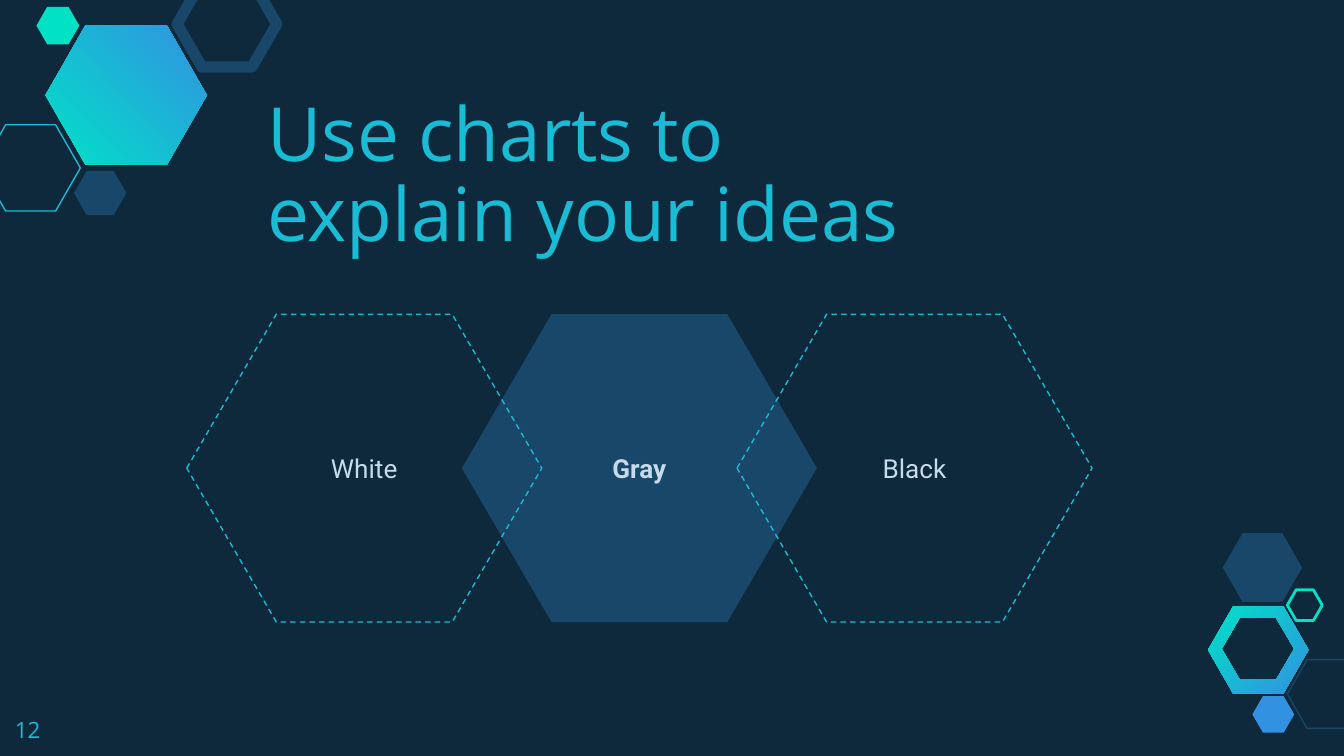
from dataclasses import dataclass
from typing import Optional

import pptx
import pptx.dml.color
import pptx.enum.dml
import pptx.enum.shapes
import pptx.enum.text
import pptx.util
from pptx.util import Cm

NIGHT, NAVY, CYAN = "0E293C", "184769", "19BBD5"
MINT, BLUE, PALE = "00E1C6", "3292E1", "C6DAEC"


@dataclass
class Hexagon:
    """A hexagon placed in centimetres, with its paint and label."""
    left: float
    top: float
    width: float
    height: float
    fill: Optional[str] = None
    line: Optional[str] = None
    weight: float = 0.75
    dashed: bool = False
    label: str = ""
    bold: bool = False
    corner: float = 0.287


def rgb(color: str) -> pptx.dml.color.RGBColor:
    """Turn a hex string into a colour."""
    return pptx.dml.color.RGBColor.from_string(color)


def style_text(frame, size: float, font: str, color: str, bold: bool = False) -> None:
    """Set insets and wrapping, and format every run."""
    frame.word_wrap = True
    frame.auto_size = pptx.enum.text.MSO_AUTO_SIZE.NONE
    frame.margin_left = frame.margin_right = Cm(0.25)
    frame.margin_top = frame.margin_bottom = Cm(0.25)
    for paragraph in frame.paragraphs:
        for run in paragraph.runs:
            run.font.size = pptx.util.Pt(size)
            run.font.name = font
            run.font.bold = bold
            run.font.color.rgb = rgb(color)


def paint_gradient(shape, angle: float) -> None:
    """Fill a shape from mint to blue along a counter-clockwise angle."""
    shape.shadow.inherit = False
    shape.line.fill.background()
    shape.fill.gradient()
    shape.fill.gradient_angle = angle
    for stop, color in zip(shape.fill.gradient_stops, (MINT, BLUE)):
        stop.color.rgb = rgb(color)


def draw_hexagon(slide, item: Hexagon):
    """Draw one hexagon and its centred label."""
    shape = slide.shapes.add_shape(
        pptx.enum.shapes.MSO_SHAPE.HEXAGON,
        Cm(item.left), Cm(item.top), Cm(item.width), Cm(item.height))
    shape.adjustments[0] = item.corner
    shape.shadow.inherit = False
    if item.fill:
        shape.fill.solid()
        shape.fill.fore_color.rgb = rgb(item.fill)
    else:
        shape.fill.background()
    if item.line:
        shape.line.color.rgb = rgb(item.line)
        shape.line.width = pptx.util.Pt(item.weight)
        if item.dashed:
            shape.line.dash_style = pptx.enum.dml.MSO_LINE.DASH
    else:
        shape.line.fill.background()
    if item.label:
        frame = shape.text_frame
        frame.text = item.label
        frame.vertical_anchor = pptx.enum.text.MSO_ANCHOR.MIDDLE
        frame.paragraphs[0].alignment = pptx.enum.text.PP_ALIGN.CENTER
        style_text(frame, 14, "Roboto", PALE, item.bold)
    return shape


def hexagon_points(left: float, top: float, width: float, height: float) -> list:
    """Return the six corners of a hexagon, from its left tip clockwise."""
    steps = ((0, 0.5), (0.25, 0), (0.75, 0), (1, 0.5), (0.75, 1), (0.25, 1))
    return [(Cm(left + x * width), Cm(top + y * height)) for x, y in steps]


def draw_ring(slide) -> None:
    """Draw the gradient ring as two nested hexagon outlines."""
    outer = hexagon_points(22.83, 11.46, 1.9, 1.65)
    inner = hexagon_points(23.09, 11.68, 1.37, 1.17)[::-1]
    builder = slide.shapes.build_freeform(*outer[0])
    builder.add_line_segments(outer[1:], close=True)
    builder.move_to(*inner[0])
    builder.add_line_segments(inner[1:], close=True)
    paint_gradient(builder.convert_to_shape(), 315)


DECORATIONS = [
    Hexagon(-0.36, 2.36, 1.88, 1.63, line=CYAN),
    Hexagon(1.4, 3.23, 0.99, 0.84, fill=NAVY),
    Hexagon(3.35, -0.36, 1.88, 1.63, line=NAVY, weight=6),
    Hexagon(0.69, 0.13, 0.81, 0.71, fill=MINT),
    Hexagon(24.33, 12.47, 1.5, 1.3, line=NAVY),
    Hexagon(23.67, 13.16, 0.79, 0.69, fill=BLUE),
    Hexagon(23.11, 10.08, 1.5, 1.3, fill=NAVY),
    Hexagon(24.33, 11.15, 0.66, 0.58, line=MINT, weight=1.5),
]

FIRST_LEFT, PITCH = 3.53, 5.2
# The filled middle hexagon lies behind the dashed ones.
IDEAS = [(1, "Gray"), (0, "White"), (2, "Black")]


def main() -> None:
    """Build and save the slide."""
    deck = pptx.Presentation()
    deck.slide_width, deck.slide_height = Cm(25.4), Cm(14.29)
    slide = deck.slides.add_slide(deck.slide_layouts[5])
    slide.background.fill.solid()
    slide.background.fill.fore_color.rgb = rgb(NIGHT)

    draw_ring(slide)
    paint_gradient(draw_hexagon(slide, Hexagon(0.86, 0.48, 3.05, 2.64)), 45)
    for decoration in DECORATIONS:
        draw_hexagon(slide, decoration)

    title = slide.shapes.title
    title.left, title.top, title.width, title.height = Cm(4.8), Cm(3.33), Cm(13.74), Cm(1.8)
    title.text_frame.text = "Use charts to explain your ideas"
    title.text_frame.vertical_anchor = pptx.enum.text.MSO_ANCHOR.BOTTOM
    heading = title.text_frame.paragraphs[0]
    heading.alignment = pptx.enum.text.PP_ALIGN.LEFT
    heading.line_spacing = 0.9
    style_text(title.text_frame, 40, "Open Sans", CYAN)

    for column, label in IDEAS:
        middle = column == 1
        draw_hexagon(slide, Hexagon(
            FIRST_LEFT + column * PITCH, 5.94, 6.71, 5.82,
            fill=NAVY if middle else None, line=None if middle else CYAN,
            dashed=not middle, label=label, bold=middle, corner=0.291))

    page_number = slide.shapes.add_textbox(Cm(0.03), Cm(13.28), Cm(1.52), Cm(1))
    page_number.text_frame.text = "12"
    style_text(page_number.text_frame, 12, "Open Sans", CYAN)

    deck.save("out.pptx")


main()
